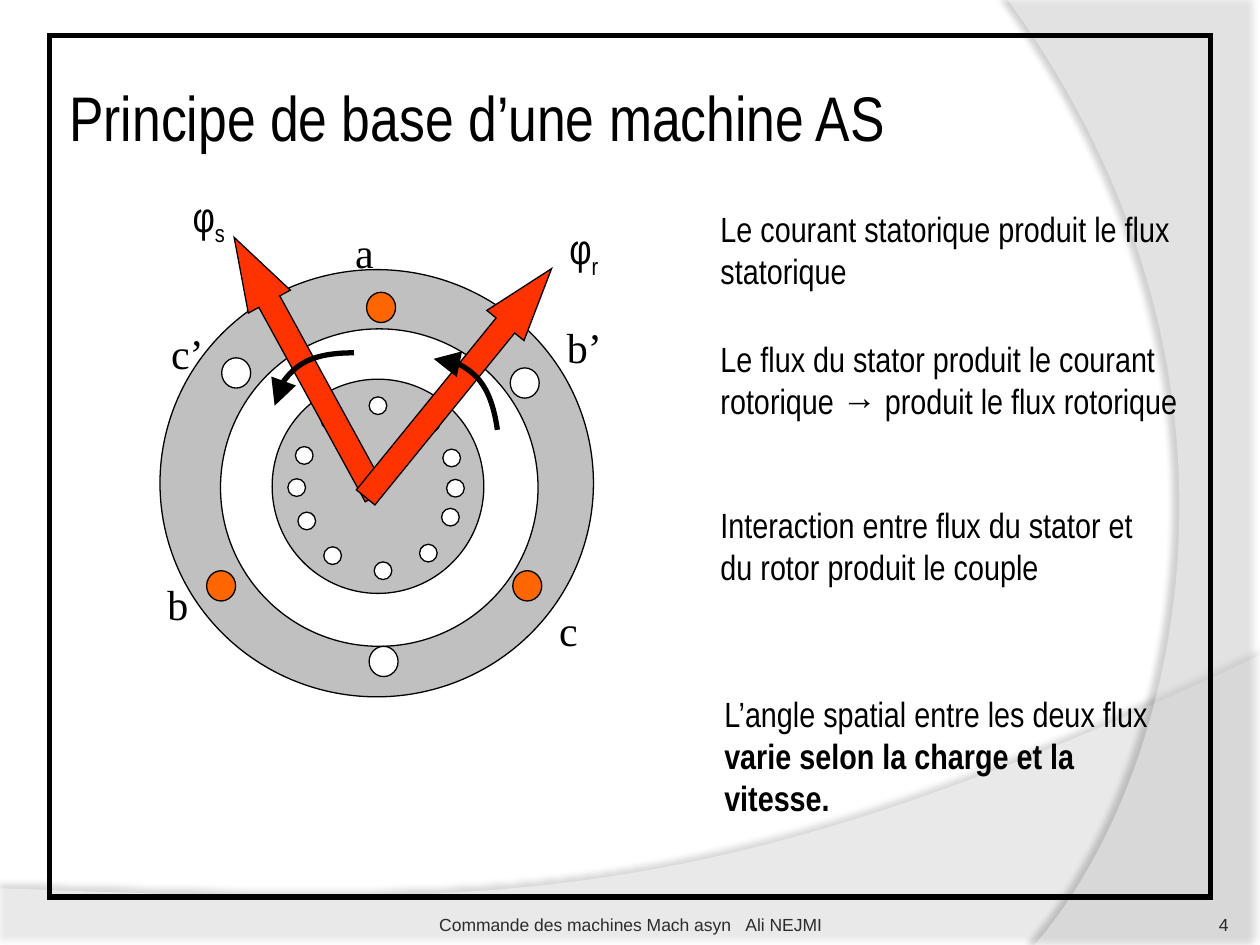
import lxml.etree
import pptx
import pptx.dml.color
import pptx.enum.shapes
import pptx.enum.text
import pptx.oxml.ns
import pptx.util

CELL = 0.1  # inches; the slide is a grid of 100 columns by 75 rows
COLUMNS, ROWS = 100, 75

COLORS = {
    "black": "000000", "white": "FFFFFF", "iron": "C0C0C0", "live": "FF6600",
    "flux": "FF3300", "number": "292929", "footer": "2C2C2C",
}
ALIGN = pptx.enum.text.PP_ALIGN
ANCHOR = pptx.enum.text.MSO_ANCHOR
PRESET = pptx.enum.shapes.MSO_SHAPE

# Centre column, centre row, width, height, colour
RINGS = [
    (29.9, 38.35, 34.4, 33.9, "iron"),
    (30.1, 38.7, 25.2, 25.2, "white"),
    (30, 38.6, 16.8, 17, "iron"),
]
STATOR_SLOTS = [
    (30.25, 24.4, "live"), (30.45, 52.5, "white"), (41.85, 46.5, "live"),
    (18.75, 29.6, "white"), (17.55, 46.5, "live"), (41.65, 30.4, "white"),
]
ROTOR_SLOTS = [
    (30, 32.2), (30.4, 45.3), (26.4, 44.1), (34.2, 33.6), (34, 43.9), (26.2, 33.4),
    (35.75, 41.05), (24.15, 36.15), (24.35, 41.35), (35.85, 36.35),
    (36.15, 38.75), (23.55, 38.7),
]
PHASES = [("a", 27.2, 17.5), ("b", 12.3, 45.4), ("b’", 44, 25),
          ("c’", 12.6, 25.5), ("c", 43.4, 47.5)]
# Left, top and rotation of the arrow; subscript and its box;
# left, top and rotation of the turn arrow
FLUXES = [
    ((12.5, 27.2, 241.3), "s", (14.3, 14.6, 4.9, 5), (21.8, 28, 0)),
    ((24.7, 28.5, 309.1), "r", (44.2, 17.2, 4.5, 5), (33.8, 29.2, 81.8)),
]
NOTES = [
    ((56.2, 16, 37.7, 7.7), ["Le courant statorique produit le flux statorique"]),
    ((56.2, 26.3, 39.4, 7.7),
     ["Le flux du stator produit le courant rotorique → produit le flux rotorique"]),
    ((56.2, 39.5, 37.7, 7.7),
     ["Interaction entre flux du stator et du rotor produit le couple"]),
    ((56.5, 54.5, 37.7, 11.1),
     ["L’angle spatial entre les deux flux ", "varie selon la charge et la vitesse."]),
]


def cells(*counts):
    return [pptx.util.Inches(count * CELL) for count in counts]


def rgb(name):
    return pptx.dml.color.RGBColor.from_string(COLORS[name])


def child(parent, tag, **attributes):
    return lxml.etree.SubElement(parent, pptx.oxml.ns.qn(tag), attributes)


def paint(shape, fill=None, line_width=None):
    shape.shadow.inherit = False
    if fill:
        shape.fill.solid()
        shape.fill.fore_color.rgb = rgb(fill)
    else:
        shape.fill.background()
    if line_width:
        shape.line.color.rgb = rgb("black")
        shape.line.width = pptx.util.Pt(line_width)
        child(shape.line._get_or_add_ln(), "a:miter", lim="800000")
    else:
        shape.line.fill.background()


def add_circle(shapes, column, row, width, height, fill):
    """Place an ellipse by its centre."""
    box = cells(column - width / 2, row - height / 2, width, height)
    paint(shapes.add_shape(PRESET.OVAL, *box), fill, 0.75)


def add_text(shapes, box, texts, size, font, color="black", align=ALIGN.LEFT,
             anchor=ANCHOR.TOP, wrap=True, margins=None):
    """Add a one-paragraph text box, one run per text, and return the runs."""
    frame = shapes.add_textbox(*cells(*box)).text_frame
    frame.word_wrap = wrap
    frame.vertical_anchor = anchor
    if margins:
        (frame.margin_left, frame.margin_top,
         frame.margin_right, frame.margin_bottom) = cells(*margins)
    paragraph = frame.paragraphs[0]
    paragraph.text = texts[0]
    paragraph.alignment = align
    for text in texts[1:]:
        paragraph.add_run().text = text
    for run in paragraph.runs:
        run.font.size = pptx.util.Pt(size)
        run.font.name = font
        run.font.color.rgb = rgb(color)
    return paragraph.runs


def add_outline(shapes, points, controls, close):
    """Add a freeform whose last segment is a cubic curve with two controls."""
    start, *others = [cells(*point) for point in points]
    builder = shapes.build_freeform(*start)
    builder.add_line_segments(others, close=close)
    shape = builder.convert_to_shape()
    line = shape._element.findall(".//" + pptx.oxml.ns.qn("a:lnTo"))[len(others) - 1]
    line.tag = pptx.oxml.ns.qn("a:cubicBezTo")
    for index, control in enumerate(controls):
        x, y = cells(*control)
        point = child(line, "a:pt", x=str(x - shape.left), y=str(y - shape.top))
        line.insert(index, point)
    return shape


def add_wave(shapes, points, controls, opacity, shadow_opacity, distance, direction):
    """Add a translucent background wave with a soft shadow."""
    wave = add_outline(shapes, points, controls, True)
    paint(wave, "white")
    properties = wave._element.spPr
    color = properties.find(".//" + pptx.oxml.ns.qn("a:srgbClr"))
    child(color, "a:alpha", val=str(opacity * 1000))
    effects = properties.find(pptx.oxml.ns.qn("a:effectLst"))
    shadow = child(effects, "a:outerShdw", blurRad=str(pptx.util.Pt(4)),
                   dist=str(pptx.util.Pt(distance)), dir=str(direction * 60000),
                   algn="ctr", rotWithShape="0")
    shade = child(shadow, "a:srgbClr", val=COLORS["black"])
    child(shade, "a:alpha", val=str(shadow_opacity * 1000))


def add_background(shapes):
    low = [(0, ROWS), (COLUMNS, ROWS), (COLUMNS, 52), (0, 70.5)]
    add_wave(shapes, low, [(55.9, 72.9), (39.1, 71.9)], 45, 35, 3.5, 270)
    right = [(COLUMNS, 0), (COLUMNS, ROWS), (82.1, ROWS), (80, 0)]
    add_wave(shapes, right, [(93.5, 61.9), (101.8, 30)], 40, 45, 4, 180)


def add_title(slide, text):
    title = slide.shapes.title
    title.left, title.top, title.width, title.height = cells(5, 3, 81.7, 12.5)
    frame = title.text_frame
    frame.text = text
    frame.vertical_anchor = ANCHOR.MIDDLE
    frame.margin_left = frame.margin_right = cells(0.5)[0]
    paragraph = frame.paragraphs[0]
    paragraph.alignment = ALIGN.LEFT
    font = paragraph.runs[0].font
    font.size = pptx.util.Pt(36)
    font.name = "Arial Narrow"
    font.color.rgb = rgb("black")


def add_machine(shapes):
    for ring in RINGS:
        add_circle(shapes, *ring)
    for column, row, fill in STATOR_SLOTS:
        add_circle(shapes, column, row, 2.3, 2.4, fill)
    for column, row in ROTOR_SLOTS:
        add_circle(shapes, column, row, 1.4, 1.4, "white")
    for name, column, row in PHASES:
        add_text(shapes, (column, row, 10.3, 8), [name], 24, "Times New Roman")


def add_turn(shapes, left, top, rotation):
    """Add a quarter turn ending in an arrowhead."""
    width, height = 6.3, 4.2
    ends = [(left + width, top), (left, top + height)]
    controls = [(left + 0.45 * width, top), (left, top + 0.45 * height)]
    turn = add_outline(shapes, ends, controls, False)
    turn.rotation = rotation
    paint(turn, line_width=3)
    child(turn.line._get_or_add_ln(), "a:tailEnd", type="triangle", w="lg", len="lg")


def add_flux(shapes, arrow_place, subscript, label_box, turn_place):
    left, top, rotation = arrow_place
    arrow = shapes.add_shape(PRESET.RIGHT_ARROW, *cells(left, top, 23.4, 3.8))
    arrow.rotation = rotation
    arrow.adjustments[0], arrow.adjustments[1] = 0.5, 1.53
    paint(arrow, "flux", 0.75)
    runs = add_text(shapes, label_box, ["φ", subscript], 24, "Arial Narrow", wrap=False)
    runs[1]._r.get_or_add_rPr().set("baseline", "-25000")
    add_turn(shapes, *turn_place)


def add_footer(shapes):
    add_text(shapes, (89.2, 70.2, 8.3, 4), ["4"], 10, "Arial", "number",
             ALIGN.RIGHT, ANCHOR.BOTTOM, margins=(0, 0, 0, 0))
    runs = add_text(shapes, (34.2, 70.2, 31.7, 4),
                    ["Commande des machines Mach asyn", " ", "Ali NEJMI"], 10, "Arial",
                    "footer", ALIGN.CENTER, ANCHOR.BOTTOM, margins=(0, 0.5, 0, 0))
    runs[1]._r.get_or_add_rPr().set("spc", "560")


def main():
    presentation = pptx.Presentation()
    presentation.slide_width, presentation.slide_height = cells(COLUMNS, ROWS)
    slide = presentation.slides.add_slide(presentation.slide_layouts[5])
    shapes = slide.shapes
    add_background(shapes)
    add_title(slide, "Principe de base d’une machine AS")
    paint(shapes.add_shape(PRESET.RECTANGLE, *cells(3.9, 2.8, 92.2, 68.4)), line_width=3)
    add_machine(shapes.add_group_shape().shapes)
    for flux in FLUXES:
        add_flux(shapes.add_group_shape().shapes, *flux)
    for box, texts in NOTES:
        for index, run in enumerate(add_text(shapes, box, texts, 20, "Arial Narrow")):
            run.font.bold = index > 0
    add_footer(shapes)
    presentation.save("out.pptx")


if __name__ == "__main__":
    main()
